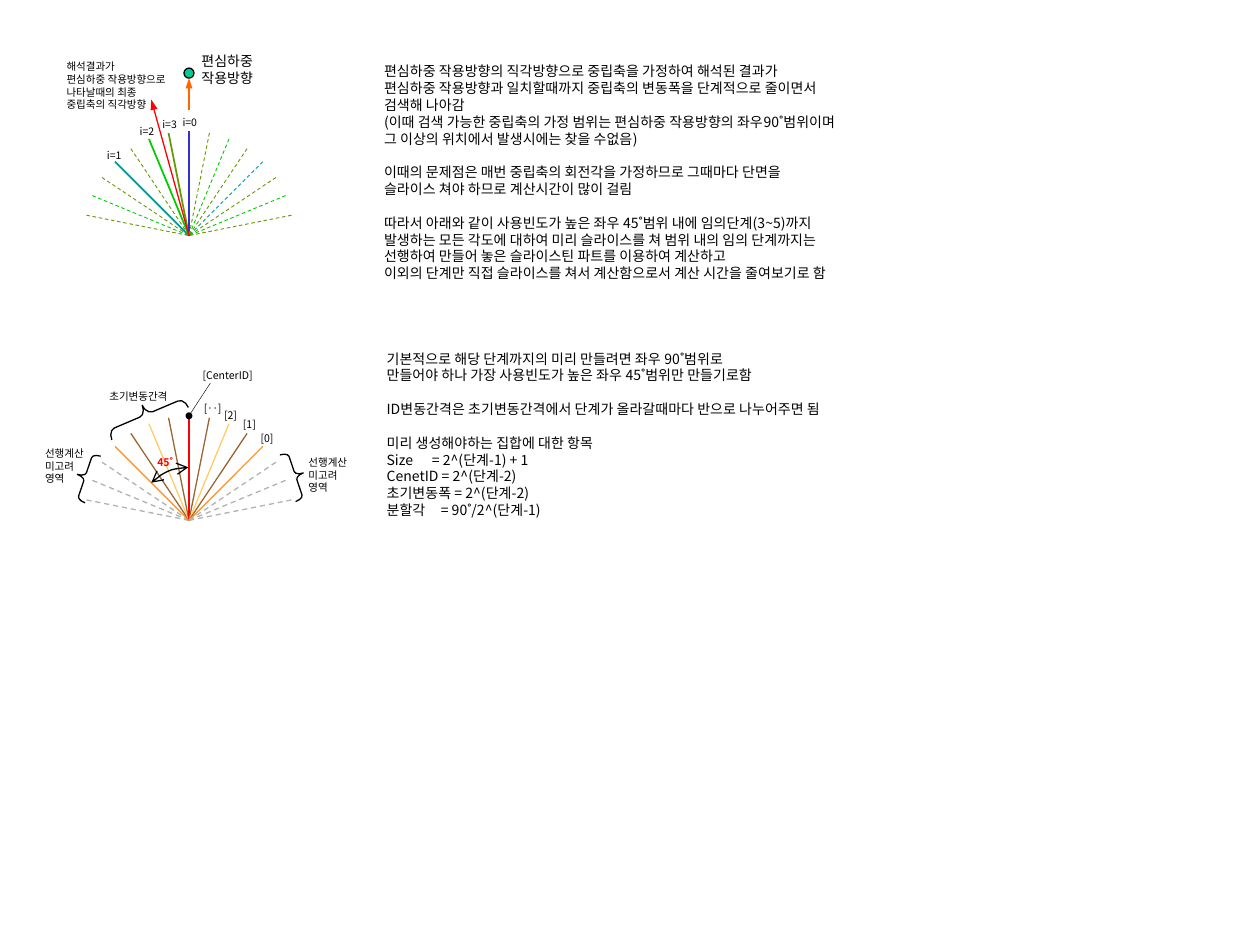
import math

import pptx
import pptx.dml.color
import pptx.enum.dml
import pptx.enum.shapes
import pptx.enum.text
import pptx.oxml.ns
import pptx.util
from lxml import etree
from pptx.util import Inches

FONT = "Noto Sans CJK KR"
COLORS = {
    "black": "000000", "red": "FF0000", "blue": "3333CC", "teal": "009999",
    "green": "00CC00", "olive": "669900", "orange": "FF9933", "sand": "FFCC66",
    "brown": "996633", "gray": "B2B2B2", "load": "00CC99", "load_arrow": "FF6600",
}
SHAPES = pptx.enum.shapes.MSO_SHAPE
NARROW_ARROW = {"type": "triangle", "w": "sm", "len": "med"}
SMALL_DOT = {"type": "oval", "w": "sm", "len": "sm"}
OPEN_ARROW = {"type": "arrow"}
RADIUS = 0.83
STEP = 11.25  # degrees between neighbouring rays
LAST_RAY = 7


def rgb(name):
    return pptx.dml.color.RGBColor.from_string(COLORS[name])


def add_child(parent, tag, **attrs):
    return etree.SubElement(parent, pptx.oxml.ns.qn(tag), **attrs)


def style_line(sp, color, width, dash=False, head=None, tail=None):
    sp.line.color.rgb = rgb(color)
    sp.line.width = pptx.util.Pt(width)
    if dash:
        sp.line.dash_style = pptx.enum.dml.MSO_LINE.DASH
    ln = sp.line._get_or_add_ln()
    for tag, end in (("a:headEnd", head), ("a:tailEnd", tail)):
        if end:
            add_child(ln, tag, **end)


def add_line(s, x1, y1, x2, y2, color, width, **style):
    line = s.shapes.add_connector(
        pptx.enum.shapes.MSO_CONNECTOR.STRAIGHT,
        Inches(x1), Inches(y1), Inches(x2), Inches(y2))
    style_line(line, color, width, **style)
    add_child(line._element.spPr, "a:effectLst")


def add_outline(s, kind, x, y, w, h, adjustments=(), rotation=0, fill=None, **style):
    sp = s.shapes.add_shape(kind, Inches(x), Inches(y), Inches(w), Inches(h))
    sp.shadow.inherit = False
    sp.rotation = rotation
    for i, value in enumerate(adjustments):
        sp.adjustments[i] = value
    if fill:
        sp.fill.solid()
        sp.fill.fore_color.rgb = rgb(fill)
    else:
        sp.fill.background()
    style_line(sp, "black", 0.75, **style)


def add_text(s, x, y, w, h, paragraphs, size=6, color="black", bold=False):
    """Each paragraph is a string, or a (string, blank lines before, tab stop) tuple."""
    tf = s.shapes.add_textbox(Inches(x), Inches(y), Inches(w), Inches(h)).text_frame
    tf.word_wrap = True
    tf.margin_right = 0  # leaves every line room to stay whole
    tf.auto_size = pptx.enum.text.MSO_AUTO_SIZE.NONE
    pitch = pptx.util.Pt(size * 1.2)
    for i, item in enumerate(paragraphs):
        text, gap, tab = (item, 0, None) if isinstance(item, str) else item
        p = tf.paragraphs[0] if i == 0 else tf.add_paragraph()
        p.text = text
        p.line_spacing = pitch
        p.space_before = pitch * gap
        pPr = p._p.get_or_add_pPr()
        if tab:
            add_child(add_child(pPr, "a:tabLst"), "a:tab", pos=str(Inches(tab)), algn="l")
        p.font.size = pptx.util.Pt(size)
        p.font.name = FONT
        p.font.bold = bold
        p.font.color.rgb = rgb(color)
        add_child(pPr.find(pptx.oxml.ns.qn("a:defRPr")), "a:ea", typeface=FONT)


def add_fan(s, x, y, ray_style):
    """Draws rays that meet at x, y; ray_style gives colour, width and dash by index."""
    for i in range(-LAST_RAY, LAST_RAY + 1):
        angle = math.radians(i * STEP)
        color, width, dash = ray_style(i)
        add_line(s, x + RADIUS * math.sin(angle), y - RADIUS * math.cos(angle),
                 x, y, color, width, dash=dash)


def search_ray(i):
    if i == 0:
        color = "blue"
    elif i % 2:
        color = "olive"
    else:
        color = "teal" if abs(i) == 4 else "green"
    solid = i in (0, -1, -2, -4)
    return color, 1 if solid else 0.5, not solid


def slice_ray(i):
    if abs(i) > 4:
        return "gray", 0.75, True
    if i % 2:
        return "brown", 0.75, False
    return {0: "red", 2: "sand", 4: "orange"}[abs(i)], 0.75, False


def search_diagram(s, x, y):
    """Neutral axis search; x, y is where the rays meet."""
    add_fan(s, x, y, search_ray)
    add_line(s, x, y, x - 0.3, y - 1.08, "red", 0.75, tail=NARROW_ARROW)
    labels = [(-0.15, -1), (-0.75, -0.74), (-0.49, -0.93), (-0.31, -0.98)]
    for i, (dx, dy) in enumerate(labels):
        add_text(s, x + dx, y + dy, 0.31, 0.2, [f"i={i}"])
    add_outline(s, SHAPES.OVAL, x - 0.04, y - 1.33, 0.08, 0.08, fill="load")
    add_line(s, x, y - 1, x, y - 1.25, "load_arrow", 0.75, tail=NARROW_ARROW)
    add_text(s, x, y - 1.5, 0.61, 0.37, ["편심하중", "작용방향"], size=8)
    add_text(s, x - 1.07, y - 1.44, 1.01, 0.5,
             ["해석결과가\v편심하중 작용방향으로\v나타날때의 최종\v중립축의 직각방향"])


def slice_diagram(s, x, y):
    """Slices made in advance; x, y is where the rays meet."""
    add_fan(s, x, y, slice_ray)
    labels = [("[0]", 0.47, -0.75, 0.3), ("[1]", 0.33, -0.86, 0.3),
              ("[2]", 0.18, -0.93, 0.3), ("[‥]", 0.02, -0.99, 0.34),
              ("[CenterID]", 0.01, -1.25, 0.6), ("초기변동간격", -0.73, -1.08, 0.66)]
    for text, dx, dy, w in labels:
        add_text(s, x + dx, y + dy, w, 0.2, [text])
    add_line(s, x, y - RADIUS, x + 0.17, y - 1.09, "black", 0.25, head=SMALL_DOT)

    add_outline(s, SHAPES.LEFT_BRACE, x - 0.42, y - 1.17, 0.16, 0.66, (0.35,), 67)
    add_outline(s, SHAPES.LEFT_BRACE, x + 0.78, y - 0.55, 0.13, 0.39, (0.26,), 161.4)
    add_outline(s, SHAPES.RIGHT_BRACE, x - 0.89, y - 0.54, 0.13, 0.39, (0.26,), 198.6)
    for dx, dy in ((0.85, -0.56), (-1.24, -0.63)):
        add_text(s, x + dx, y + dy, 0.5, 0.4, ["선행계산", "미고려\v영역"])

    # An arc angle of one degree is 0.6 in adjustment units.
    add_outline(s, SHAPES.ARC, x - 0.42, y - 0.42, 0.83, 0.83,
                (225 * 0.6, 270 * 0.6), head=OPEN_ARROW, tail=OPEN_ARROW)
    add_text(s, x - 0.35, y - 0.56, 0.32, 0.2, ["45˚"], color="red", bold=True)


def search_notes(s, x, y):
    add_text(s, x, y, 3.91, 1.83, [
        "편심하중 작용방향의 직각방향으로 중립축을 가정하여 해석된 결과가\v"
        "편심하중 작용방향과 일치할때까지 중립축의 변동폭을 단계적으로 줄이면서\v"
        "검색해 나아감\v"
        "(이때 검색 가능한 중립축의 가정 범위는 편심하중 작용방향의 좌우90˚범위이며",
        "그 이상의 위치에서 발생시에는 찾을 수없음)",
        ("이때의 문제점은 매번 중립축의 회전각을 가정하므로 그때마다 단면을", 1, None),
        "슬라이스 쳐야 하므로 계산시간이 많이 걸림",
        ("따라서 아래와 같이 사용빈도가 높은 좌우 45˚범위 내에 임의단계(3~5)까지", 1, None),
        "발생하는 모든 각도에 대하여 미리 슬라이스를 쳐 범위 내의 임의 단계까지는\v"
        "선행하여 만들어 놓은 슬라이스틴 파트를 이용하여 계산하고",
        "이외의 단계만 직접 슬라이스를 쳐서 계산함으로서 계산 시간을 줄여보기로 함",
    ], size=8)


def slice_notes(s, x, y):
    add_text(s, x, y, 3.71, 1.43, [
        "기본적으로 해당 단계까지의 미리 만들려면 좌우 90˚범위로\v"
        "만들어야 하나 가장 사용빈도가 높은 좌우 45˚범위만 만들기로함",
        ("ID변동간격은 초기변동간격에서 단계가 올라갈때마다 반으로 나누어주면 됨", 1, None),
        ("미리 생성해야하는 집합에 대한 항목", 1, None),
        ("Size\t= 2^(단계-1) + 1", 0, 0.36),
        "CenetID = 2^(단계-2)",
        "초기변동폭 = 2^(단계-2)",
        ("분할각\t= 90˚/2^(단계-1)", 0, 0.43),
    ], size=8)


def main():
    prs = pptx.Presentation()
    prs.slide_width, prs.slide_height = Inches(10), Inches(7.5)
    s = prs.slides.add_slide(prs.slide_layouts[6])
    search_diagram(s, 1.5, 1.87)
    slice_diagram(s, 1.5, 4.13)
    search_notes(s, 2.95, 0.45)
    slice_notes(s, 2.97, 2.73)
    prs.save("out.pptx")


if __name__ == "__main__":
    main()
